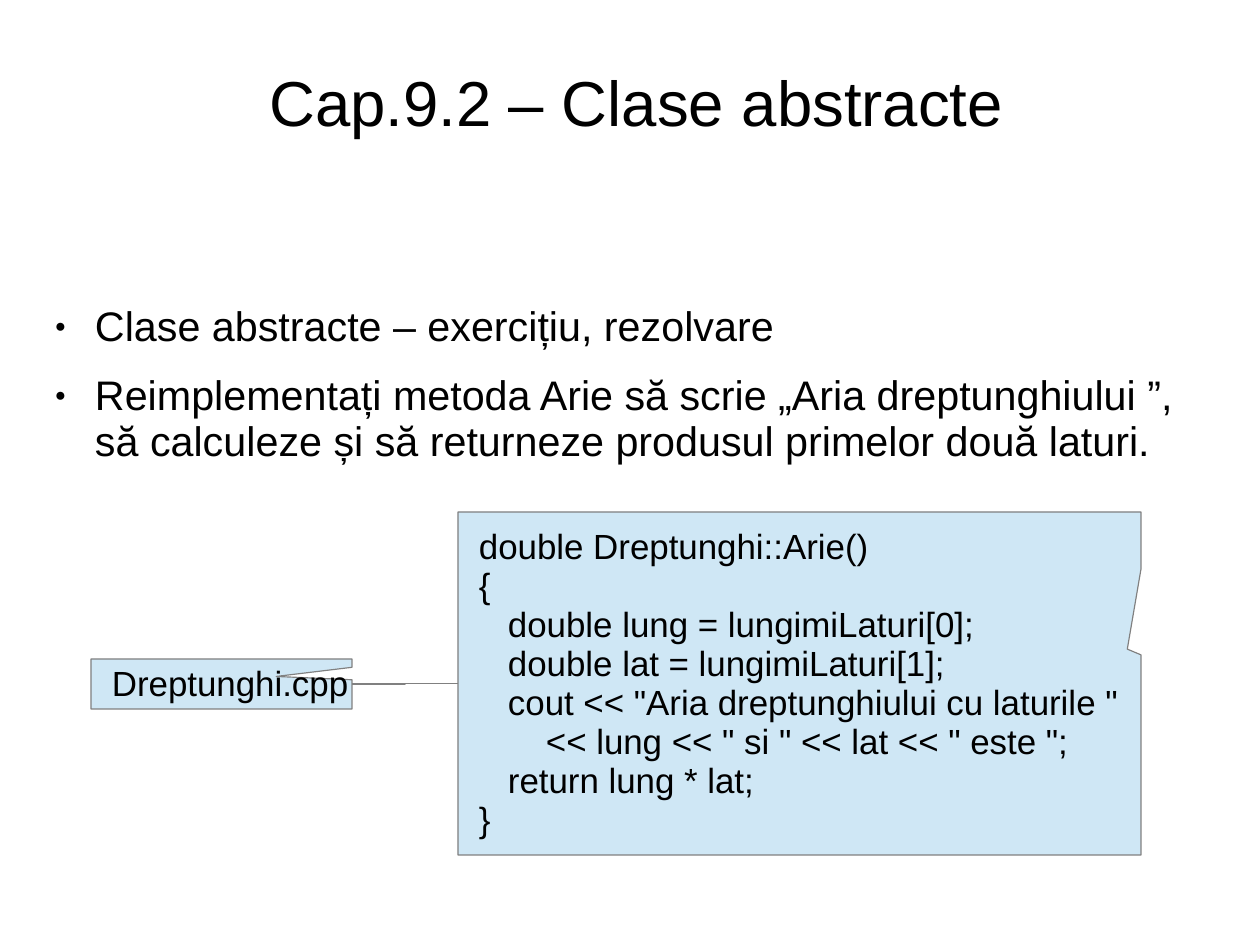
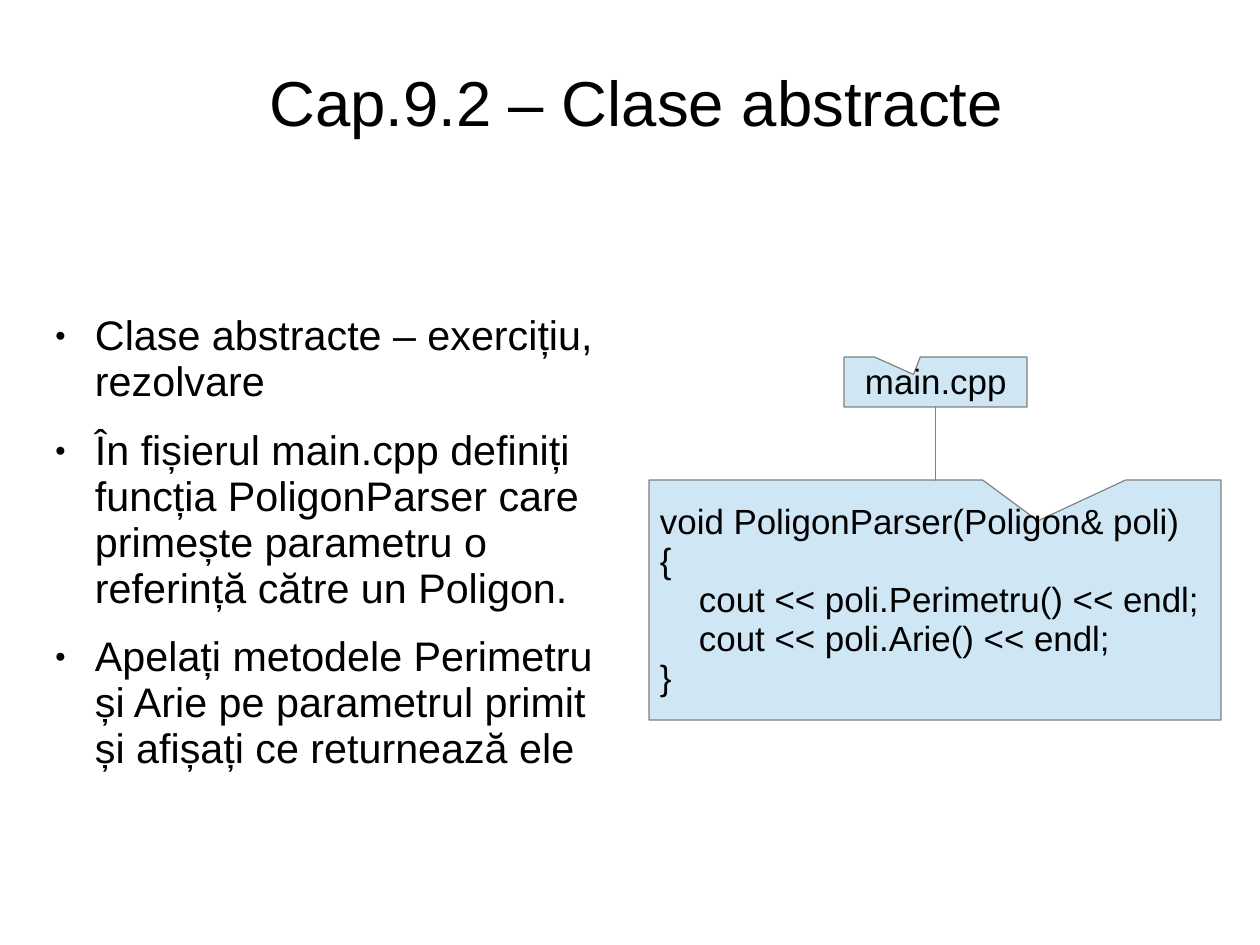
import dataclasses

import lxml.etree
import pptx
import pptx.dml.color
import pptx.enum.shapes
import pptx.enum.text
import pptx.oxml.ns
import pptx.util

SCALE = 8000
ANCHOR = pptx.enum.text.MSO_ANCHOR
ALIGN = pptx.enum.text.PP_ALIGN


@dataclasses.dataclass(frozen=True)
class Theme:
    font: str = "Arial"
    ink: str = "000000"
    fill: str = "CFE7F5"
    edge: str = "808080"
    head: int = 40
    list: int = 26
    code: int = 22
    line: float = 0.75
    lead: float = 0.93
    gap: float = 14.1


def px(count):
    return pptx.util.Emu(count * SCALE)


def rgb(code):
    return pptx.dml.color.RGBColor.from_string(code)


def put(target, values):
    for name, value in values.items():
        setattr(target, name, value)


def add(parent, tag, **values):
    return lxml.etree.SubElement(parent, pptx.oxml.ns.qn(tag), values)


class Deck:
    def __init__(self, theme):
        self.theme = theme
        self.file = pptx.Presentation()
        self.slide = None
        put(self.file, {"slide_width": px(1260), "slide_height": px(945)})

    def place(self, shape, box):
        put(shape, dict(zip(("left", "top", "width", "height"), map(px, box))))

    def text(self, shape, lines, size, anchor, insets, align=ALIGN.LEFT, after=0):
        frame = shape.text_frame
        sides = ("margin_left", "margin_top", "margin_right", "margin_bottom")
        put(frame, dict(zip(sides, map(px, insets))))
        put(frame, {
            "text": "\n".join(lines),
            "word_wrap": True,
            "auto_size": pptx.enum.text.MSO_AUTO_SIZE.NONE,
            "vertical_anchor": anchor,
        })
        for para in frame.paragraphs:
            put(para, {
                "alignment": align,
                "line_spacing": self.theme.lead,
                "space_before": pptx.util.Pt(0),
                "space_after": pptx.util.Pt(after),
            })
            for run in para.runs:
                put(run.font, {"name": self.theme.font, "size": pptx.util.Pt(size)})
                run.font.color.rgb = rgb(self.theme.ink)
        return frame.paragraphs

    def indent(self, para, left, first=0):
        props = para._p.get_or_add_pPr()
        props.set("marL", str(px(left)))
        props.set("indent", str(px(first)))
        return props

    def start(self, title):
        self.slide = self.file.slides.add_slide(self.file.slide_layouts[1])
        shape = self.slide.shapes.title
        self.place(shape, (41, 32, 1190, 142))
        self.text(shape, [title], self.theme.head, ANCHOR.MIDDLE, (0, 5, 0, 0), ALIGN.CENTER)

    def list(self, box, lines):
        shape = self.slide.placeholders[1]
        self.place(shape, box)
        paras = self.text(shape, lines, self.theme.list, ANCHOR.TOP, (0, 3, 0, 0),
                          after=self.theme.gap)
        for para in paras:
            props = self.indent(para, 54, -40)
            add(add(props, "a:buClr"), "a:srgbClr", val=self.theme.ink)
            add(props, "a:buSzPct", val="45000")
            add(props, "a:buFont", typeface=self.theme.font)
            add(props, "a:buChar", char="●")

    def note(self, box, tip, lines):
        kind = pptx.enum.shapes.MSO_SHAPE.RECTANGULAR_CALLOUT
        shape = self.slide.shapes.add_shape(kind, *map(px, box))
        shape.shadow.inherit = False
        shape.adjustments[0], shape.adjustments[1] = tip
        shape.fill.solid()
        shape.fill.fore_color.rgb = rgb(self.theme.fill)
        self.stroke(shape)
        paras = self.text(shape, [text for _, text in lines], self.theme.code,
                          ANCHOR.MIDDLE, (11, 8, 0, 6))
        for para, (left, _) in zip(paras, lines):
            self.indent(para, left)
        return shape

    def stroke(self, shape):
        shape.line.color.rgb = rgb(self.theme.edge)
        shape.line.width = pptx.util.Pt(self.theme.line)

    def join(self, first, out, last, into):
        kind = pptx.enum.shapes.MSO_CONNECTOR.ELBOW
        link = self.slide.shapes.add_connector(kind, 0, 0, 0, 0)
        link.begin_connect(first, out)
        link.end_connect(last, into)
        self.stroke(link)
        add(link._element.spPr, "a:effectLst")


def main():
    deck = Deck(Theme())
    title = "Cap.9.2 – Clase abstracte"
    topic = "Clase abstracte – exercițiu, rezolvare"

    deck.start(title)
    deck.list((41, 302, 1182, 178), [
        topic,
        "Reimplementați metoda Arie să scrie „Aria dreptunghiului ”, "
        "să calculeze și să returneze produsul primelor două laturi.",
    ])
    label = deck.note((91, 659, 261, 50), (0.21, -0.15), [(10, "Dreptunghi.cpp")])
    code = deck.note((458, 512, 683, 343), (0.48, -0.1), [
        (10, "double Dreptunghi::Arie()"),
        (10, "{"),
        (39, "double lung = lungimiLaturi[0];"),
        (39, "double lat = lungimiLaturi[1];"),
        (39, 'cout << "Aria dreptunghiului cu laturile "'),
        (77, '<< lung << " si " << lat << " este ";'),
        (39, "return lung * lat;"),
        (10, "}"),
    ])
    deck.join(label, 3, code, 1)

    deck.start(title)
    deck.list((41, 311, 576, 512), [
        topic,
        "În fișierul main.cpp definiți funcția PoligonParser care primește "
        "parametru o referință către un Poligon.",
        "Apelați metodele Perimetru și Arie pe parametrul primit și afișați "
        "ce returnează ele",
    ])
    label = deck.note((844, 357, 183, 50), (-0.12, -0.15), [(10, "main.cpp")])
    code = deck.note((649, 480, 572, 240), (0.18, -0.33), [
        (0, "void PoligonParser(Poligon& poli)"),
        (0, "{"),
        (39, "cout << poli.Perimetru() << endl;"),
        (39, "cout << poli.Arie() << endl;"),
        (0, "}"),
    ])
    deck.join(label, 2, code, 0)

    deck.file.save("out.pptx")


if __name__ == "__main__":
    main()
